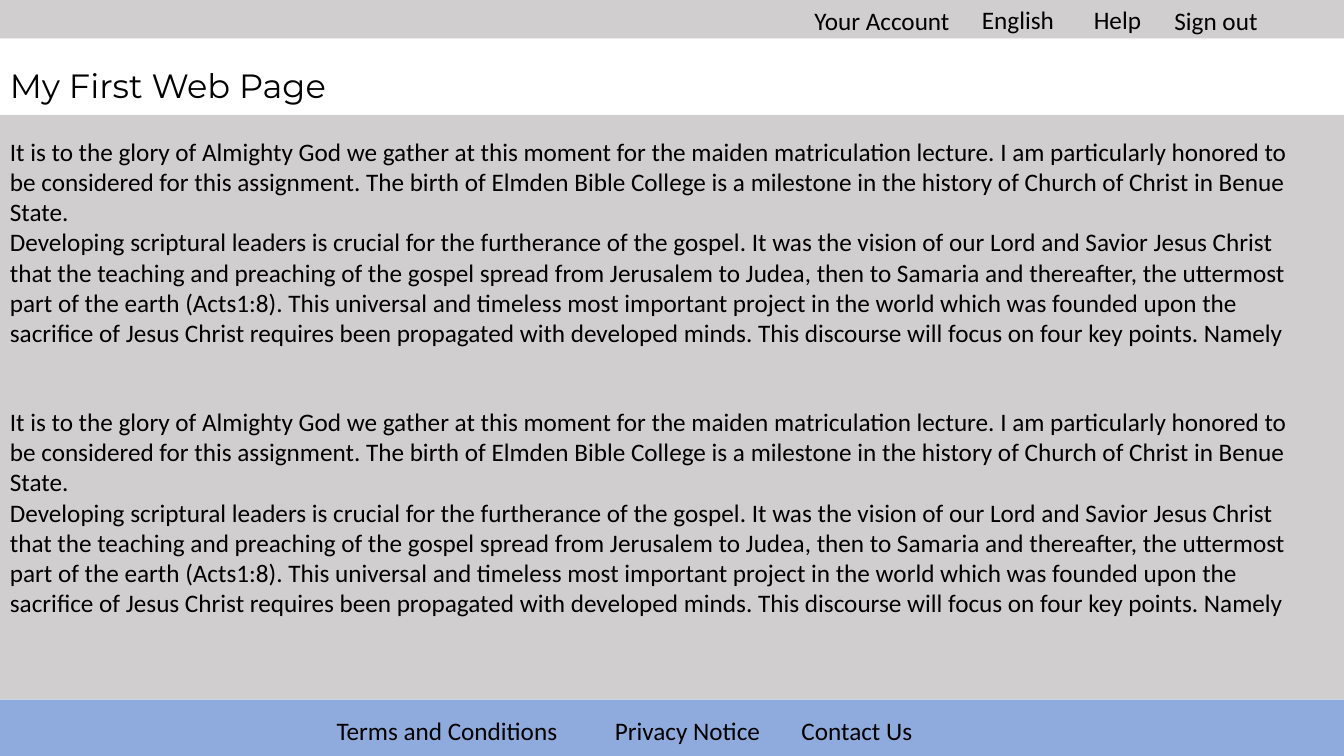
import pptx
import pptx.dml.color
import pptx.enum.shapes
import pptx.enum.text
import pptx.util
from pptx.util import Inches

COLORS = {"grey": "D0CECE", "blue": "8FAADC", "text": "000000"}
PAGE_WIDTH = 13.33

deck = pptx.Presentation()
deck.slide_width = Inches(PAGE_WIDTH)
deck.slide_height = Inches(7.5)
page = deck.slides.add_slide(deck.slide_layouts[6])


def add_text(left, top, width, height, paragraphs, size=18, font="Calibri"):
    box = page.shapes.add_textbox(
        Inches(left), Inches(top), Inches(width), Inches(height)
    )
    frame = box.text_frame
    frame.word_wrap = True
    frame.auto_size = pptx.enum.text.MSO_AUTO_SIZE.SHAPE_TO_FIT_TEXT
    for index, wording in enumerate(paragraphs):
        paragraph = frame.add_paragraph() if index else frame.paragraphs[0]
        run = paragraph.add_run()
        run.text = wording
        run.font.size = pptx.util.Pt(size)
        run.font.name = font
        run.font.color.rgb = pptx.dml.color.RGBColor.from_string(COLORS["text"])


# Background bands: top bar, body, footer
bands = [(0, 0.38, "grey"), (1.14, 5.8, "grey"), (6.94, 0.59, "blue")]
for top, height, color in bands:
    band = page.shapes.add_shape(
        pptx.enum.shapes.MSO_SHAPE.RECTANGLE,
        Inches(0), Inches(top), Inches(PAGE_WIDTH), Inches(height),
    )
    band.shadow.inherit = False
    band.fill.solid()
    band.fill.fore_color.rgb = pptx.dml.color.RGBColor.from_string(COLORS[color])
    band.line.fill.background()

# Top bar menu
menu = [
    ("Your Account", 7.98, 0, 1.74),
    ("English", 9.64, -0.01, 1.09),
    ("Help", 10.75, -0.01, 0.69),
    ("Sign out", 11.55, 0, 1.2),
]
for label, left, top, width in menu:
    add_text(left, top, width, 0.4, [label])

add_text(0, 0.59, 3.57, 0.5, ["My First Web Page"], size=24, font="Montserrat")

# The body shows the same passage twice
passage = [
    "It is to the glory of Almighty God we gather at this moment for the maiden "
    "matriculation lecture. I am particularly honored to be considered for this "
    "assignment. The birth of Elmden Bible College is a milestone in the history "
    "of Church of Christ in Benue State.",
    "Developing scriptural leaders is crucial for the furtherance of the gospel. "
    "It was the vision of our Lord and Savior Jesus Christ that the teaching and "
    "preaching of the gospel spread from Jerusalem to Judea, then to Samaria and "
    "thereafter, the uttermost part of the earth (Acts1:8). This universal and "
    "timeless most important project in the world which was founded upon the "
    "sacrifice of Jesus Christ requires been propagated with developed minds. "
    "This discourse will focus on four key points. Namely",
]
for top in (1.3, 3.98):
    add_text(0, top, 13.17, 2.22, passage)

# Footer links
footer = [
    ("Terms and Conditions", 3.24, 2.5),
    ("Privacy Notice", 6, 1.86),
    ("Contact Us", 7.85, 2.25),
]
for label, left, width in footer:
    add_text(left, 7.05, width, 0.4, [label])

deck.save("out.pptx")
